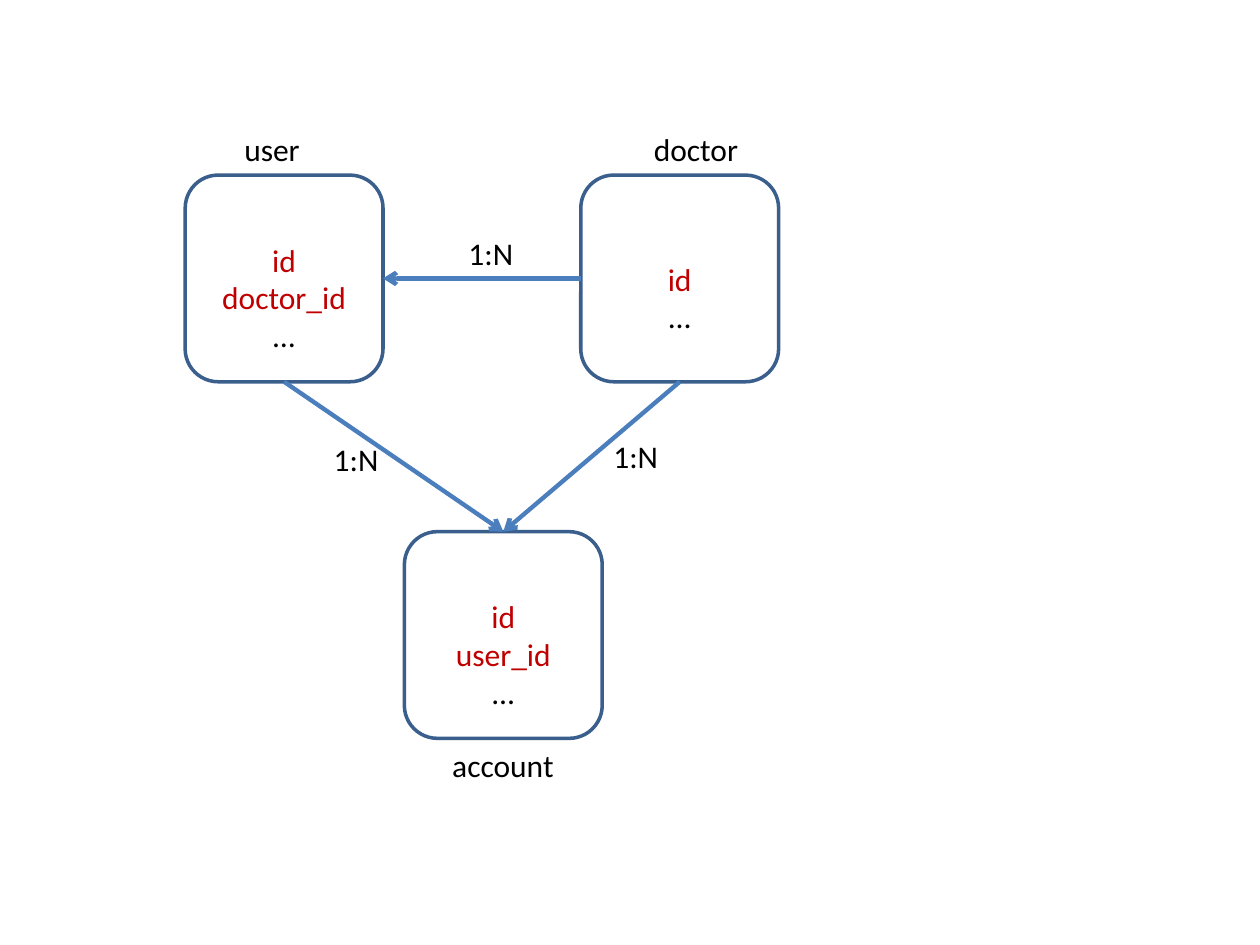
from pptx import Presentation
from pptx.util import Inches, Pt
from pptx.dml.color import RGBColor as Rgb
from pptx.enum.shapes import MSO_SHAPE as Shape, MSO_CONNECTOR as Link
from pptx.enum.text import PP_ALIGN as Align, MSO_ANCHOR as Anchor, MSO_AUTO_SIZE as Fit
from pptx.oxml.ns import qn
from lxml import etree

COLORS = {"key": "C00000", "text": "000000", "fill": "FFFFFF",
          "edge": "3A5F8C", "arrow": "4B7EBC"}
COLS, ROWS = 100, 75
TOP, LEFT, BASE, RIGHT = range(4)  # connection sites of a box


def write(par, text, color="text", size=18, font="Calibri", align=Align.LEFT):
    """Put formatted text into a paragraph."""
    par.alignment = align
    run = par.add_run()
    run.text = text
    run.font.size, run.font.name = Pt(size), font
    run.font.color.rgb = Rgb.from_string(COLORS[color])


class Board:
    """Draws the tables and their relations on one slide."""

    def __init__(self, deck):
        """Add a blank slide and set up its grid."""
        self.items = deck.slides.add_slide(deck.slide_layouts[6]).shapes
        self.col = deck.slide_width / COLS
        self.row = deck.slide_height / ROWS
        self.size = 15.7, 16.4

    def place(self, x, y, w, h):
        """Turn grid columns and rows into slide lengths."""
        return [round(n) for n in (x * self.col, y * self.row,
                                   w * self.col, h * self.row)]

    def stroke(self, line, color, width):
        """Set the colour and width of a line."""
        line.color.rgb = Rgb.from_string(COLORS[color])
        line.width = Pt(width)

    def box(self, x, y, keys):
        """Draw a rounded table box that lists its keys."""
        box = self.items.add_shape(Shape.ROUNDED_RECTANGLE,
                                   *self.place(x, y, *self.size))
        box.shadow.inherit = False
        box.fill.solid()
        box.fill.fore_color.rgb = Rgb.from_string(COLORS["fill"])
        self.stroke(box.line, "edge", 2)
        frame = box.text_frame
        frame.word_wrap = True
        frame.vertical_anchor = Anchor.MIDDLE
        frame.margin_top = Inches(0.35)
        for i, key in enumerate([*keys, "…"]):
            par = frame.add_paragraph() if i else frame.paragraphs[0]
            write(par, key, color="key" if i < len(keys) else "text",
                  align=Align.CENTER)
        return box

    def label(self, x, y, w, text):
        """Add a one-line label."""
        frame = self.items.add_textbox(*self.place(x, y, w, 4)).text_frame
        frame.word_wrap = False
        frame.auto_size = Fit.SHAPE_TO_FIT_TEXT
        write(frame.paragraphs[0], text)

    def arrow(self, start, out, end, into):
        """Join two boxes with an arrow between connection sites."""
        link = self.items.add_connector(Link.STRAIGHT, 0, 0, 0, 0)
        link.begin_connect(start, out)
        link.end_connect(end, into)
        self.stroke(link.line, "arrow", 2.5)
        tip = etree.SubElement(link.line._get_or_add_ln(), qn("a:tailEnd"))
        tip.set("type", "arrow")
        etree.SubElement(link._element.spPr, qn("a:effectLst"))


def main():
    """Build and save the slide."""
    deck = Presentation()
    deck.slide_width, deck.slide_height = Inches(10), Inches(7.5)
    board = Board(deck)
    user = board.box(14.7, 13.9, ["id", "doctor_id"])
    doctor = board.box(46.1, 13.9, ["id"])
    account = board.box(32.1, 42.2, ["id", "user_id"])

    for x, y, w, name in [(18.4, 9.8, 6.5, "user"), (50.9, 9.8, 8.8, "doctor"),
                          (34.9, 58.7, 10.2, "account")]:
        board.label(x, y, w, name)

    board.arrow(doctor, LEFT, user, RIGHT)
    for owner in (user, doctor):
        board.arrow(owner, BASE, account, TOP)
    for x, y in [(36.2, 18.1), (25.5, 34.4), (47.7, 34.2)]:
        board.label(x, y, 5.6, "1:N")
    deck.save("out.pptx")


main()
